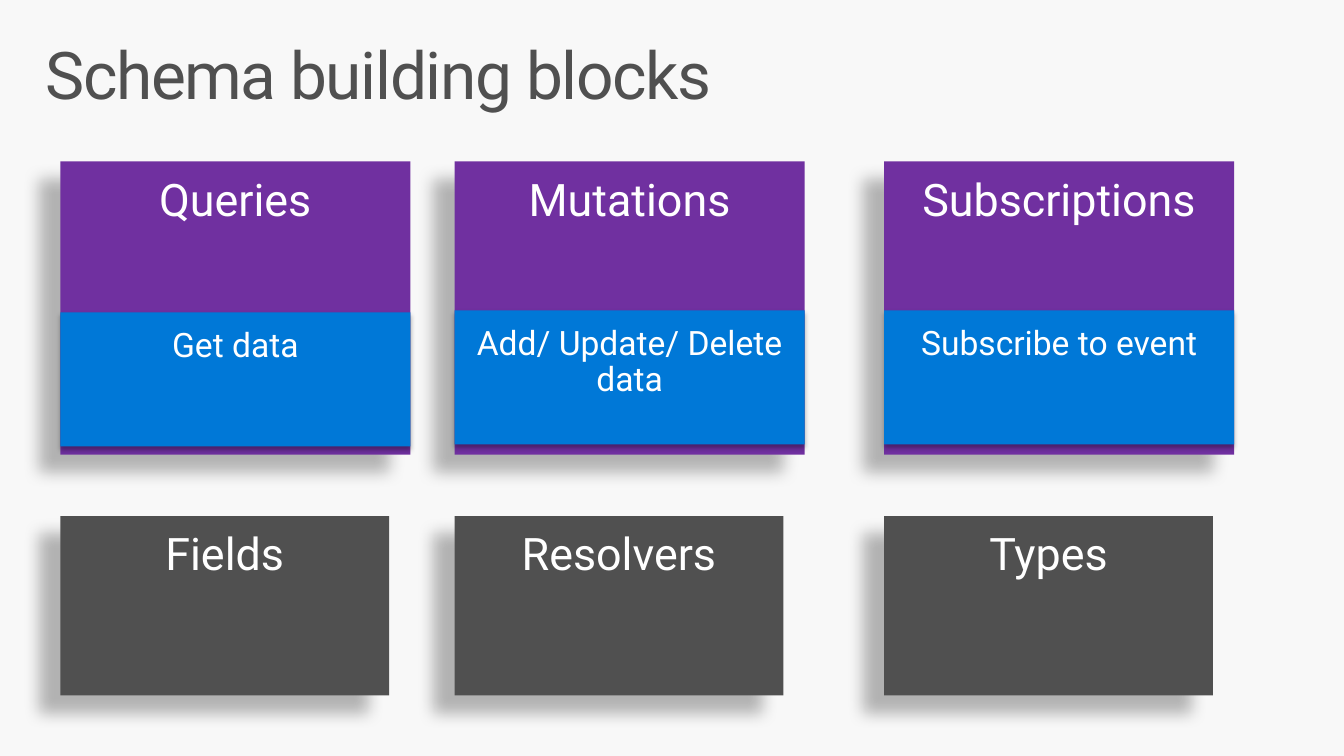
from lxml import etree
from pptx import Presentation
from pptx.dml.color import RGBColor
from pptx.enum.shapes import MSO_SHAPE
from pptx.enum.text import MSO_ANCHOR, PP_ALIGN
from pptx.oxml.ns import qn
from pptx.util import Inches, Pt

RECTANGLE = MSO_SHAPE.RECTANGLE
TOP = MSO_ANCHOR.TOP
LEFT, CENTER = PP_ALIGN.LEFT, PP_ALIGN.CENTER

THEME = {
    "font": "Roboto",
    "background": "F8F8F8",
    "white": "FFFFFF",
    "gray": "505050",
    "purple": "7030A0",
    "blue": "0078D7",
    "title_size": 47,
    "heading_size": 32,
    "detail_size": 24,
    # opacity %, blur pt, distance pt, direction degrees
    "deep_shadow": (28, 11.8, 19.7, 141),
    "soft_shadow": (32, 3.5, 2.2, 90),
}

COLUMN_LEFTS = (0.6, 4.51, 8.77)
OPERATION_TOP, OPERATION_WIDTH, OPERATION_HEIGHT = 1.6, 3.47, 2.91
DETAIL_TOPS, DETAIL_HEIGHT = (3.1, 3.08, 3.08), 1.33
ELEMENT_TOP, ELEMENT_WIDTH, ELEMENT_HEIGHT = 5.12, 3.26, 1.78

OPERATIONS = ("Queries", "Mutations", "Subscriptions")
DETAILS = ("Get data", "Add/ Update/ Delete data", "Subscribe to event")
ELEMENTS = ("Fields", "Resolvers", "Types")


def write_text(holder, text, size, color, align, side_inset, top_inset):
    frame = holder.text_frame
    frame.text = text
    frame.word_wrap = True
    frame.vertical_anchor = TOP
    frame.margin_left = frame.margin_right = Inches(side_inset)
    frame.margin_top = frame.margin_bottom = Inches(top_inset)
    paragraph = frame.paragraphs[0]
    paragraph.alignment = align
    paragraph.line_spacing = 0.9
    font = paragraph.runs[0].font
    font.name = THEME["font"]
    font.size = Pt(size)
    font.color.rgb = RGBColor.from_string(color)
    return font


def add_block(left, top, width, height, fill, shadow, text, size):
    """Add a filled rectangle with an outer shadow and centred white text."""
    block = slide.shapes.add_shape(
        RECTANGLE, Inches(left), Inches(top), Inches(width), Inches(height))
    block.fill.solid()
    block.fill.fore_color.rgb = RGBColor.from_string(fill)
    block.line.fill.background()
    block.shadow.inherit = False
    opacity, blur, distance, direction = shadow
    effects = block._element.spPr.find(qn("a:effectLst"))
    outer = etree.SubElement(
        effects, qn("a:outerShdw"), blurRad=str(Pt(blur)), dist=str(Pt(distance)),
        dir=str(direction * 60000), algn="ctr", rotWithShape="0")
    tint = etree.SubElement(outer, qn("a:srgbClr"), val="000000")
    etree.SubElement(tint, qn("a:alpha"), val=str(opacity * 1000))
    write_text(block, text, size, THEME["white"], CENTER, 0.2, 0.16)


deck = Presentation()
deck.slide_width, deck.slide_height = Inches(13.33), Inches(7.5)
slide = deck.slides.add_slide(deck.slide_layouts[6])
slide.background.fill.solid()
slide.background.fill.fore_color.rgb = RGBColor.from_string(THEME["background"])

title = slide.shapes.add_textbox(Inches(0.29), Inches(0.32), Inches(12.75), Inches(0.98))
title_font = write_text(
    title, "Schema building blocks", THEME["title_size"], THEME["gray"], LEFT, 0.16, 0.1)
title_font._element.set("spc", "-100")

for left, operation in zip(COLUMN_LEFTS, OPERATIONS):
    add_block(left, OPERATION_TOP, OPERATION_WIDTH, OPERATION_HEIGHT,
              THEME["purple"], THEME["deep_shadow"], operation, THEME["heading_size"])

for left, top, detail in zip(COLUMN_LEFTS, DETAIL_TOPS, DETAILS):
    add_block(left, top, OPERATION_WIDTH, DETAIL_HEIGHT,
              THEME["blue"], THEME["soft_shadow"], detail, THEME["detail_size"])

for left, element in zip(COLUMN_LEFTS, ELEMENTS):
    add_block(left, ELEMENT_TOP, ELEMENT_WIDTH, ELEMENT_HEIGHT,
              THEME["gray"], THEME["deep_shadow"], element, THEME["heading_size"])

deck.save("out.pptx")
